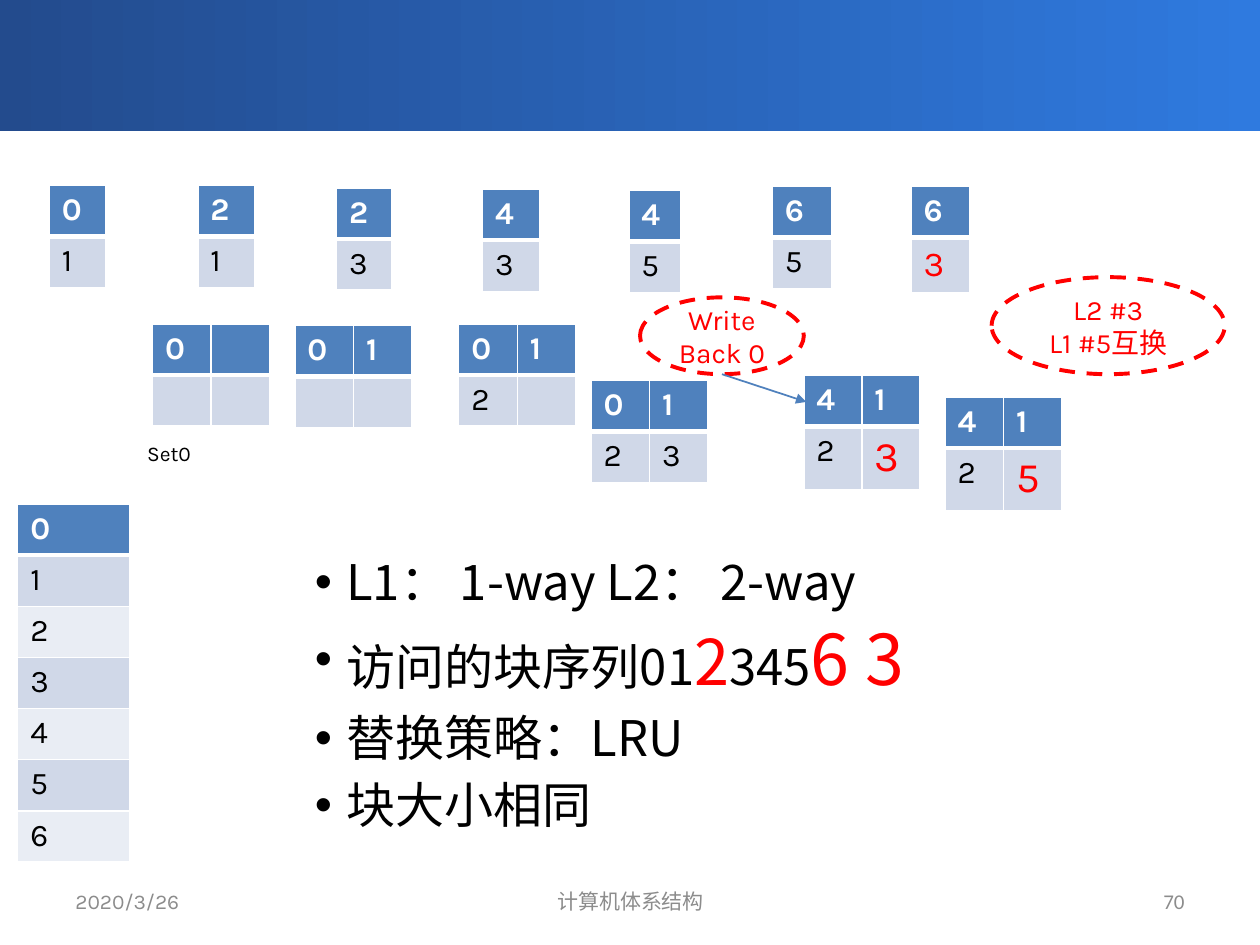
from lxml import etree
from pptx import Presentation
from pptx.dml.color import RGBColor
from pptx.enum.dml import MSO_LINE
from pptx.enum.shapes import MSO_CONNECTOR, MSO_SHAPE
from pptx.enum.text import MSO_ANCHOR, MSO_AUTO_SIZE, PP_ALIGN
from pptx.oxml.ns import qn
from pptx.util import Inches, Pt

LEFT, CENTER, RIGHT = PP_ALIGN.LEFT, PP_ALIGN.CENTER, PP_ALIGN.RIGHT
TOP, MIDDLE = MSO_ANCHOR.TOP, MSO_ANCHOR.MIDDLE
RECTANGLE, OVAL = MSO_SHAPE.RECTANGLE, MSO_SHAPE.OVAL
STRAIGHT, DASH = MSO_CONNECTOR.STRAIGHT, MSO_LINE.DASH
FIT_SHAPE = MSO_AUTO_SIZE.SHAPE_TO_FIT_TEXT

WHITE = RGBColor(0xFF, 0xFF, 0xFF)
BLACK = RGBColor(0x00, 0x00, 0x00)
RED = RGBColor(0xFF, 0x00, 0x00)
BLUE = RGBColor(0x4F, 0x81, 0xBD)
BAND_DARK = RGBColor(0xD0, 0xD8, 0xE8)
BAND_LIGHT = RGBColor(0xE9, 0xED, 0xF4)
BANNER_START = RGBColor(0x23, 0x4B, 0x8D)
BANNER_END = RGBColor(0x2F, 0x7A, 0xDF)
FOOTER_GREY = RGBColor(0x8C, 0x8C, 0x8C)

COLUMNS, ROWS = 100, 75
LATIN, BODY, NUMBER = "Karla", "Noto Sans CJK SC", "Calibri"


class CacheSlide:
    """Draws cache tables, callouts and text on a grid of 100 columns by 75 rows."""

    def __init__(self, presentation):
        self.slide = presentation.slides.add_slide(presentation.slide_layouts[6])
        self.column = presentation.slide_width / COLUMNS
        self.row = presentation.slide_height / ROWS

    def place(self, left, top, width, height):
        return (int(left * self.column), int(top * self.row),
                int(width * self.column), int(height * self.row))

    def style(self, font, size, color, name=LATIN, bold=False):
        font.size, font.name, font.bold = Pt(size), name, bold
        font.color.rgb = color

    def banner(self, height):
        shape = self.slide.shapes.add_shape(RECTANGLE, *self.place(0, 0, COLUMNS, height))
        shape.shadow.inherit = False
        shape.line.fill.background()
        shape.fill.gradient()
        shape.fill.gradient_angle = 0
        for stop, color in zip(shape.fill.gradient_stops, (BANNER_START, BANNER_END)):
            stop.color.rgb = color

    def label(self, box, text, align=LEFT, anchor=MIDDLE, color=FOOTER_GREY, name=LATIN):
        frame = self.slide.shapes.add_textbox(*self.place(*box)).text_frame
        frame.word_wrap = True
        frame.vertical_anchor = anchor
        paragraph = frame.paragraphs[0]
        paragraph.text, paragraph.alignment = text, align
        self.style(paragraph.font, 12, color, name)
        return frame

    def bullets(self, box, items):
        frame = self.slide.shapes.add_textbox(*self.place(*box)).text_frame
        frame.word_wrap = True
        for index, runs in enumerate(items):
            paragraph = frame.add_paragraph() if index else frame.paragraphs[0]
            paragraph.line_spacing = 0.9
            if index:
                paragraph.space_before = Pt(8)
            properties = paragraph._p.get_or_add_pPr()
            properties.set("marL", str(Inches(0.25)))
            properties.set("indent", str(-Inches(0.25)))
            etree.SubElement(properties, qn("a:buFont"), typeface="Arial")
            etree.SubElement(properties, qn("a:buChar"), char="•")
            self.style(paragraph.font, 28, BLACK, BODY)
            for text, red_size in runs:
                run = paragraph.add_run()
                run.text = text
                if red_size:
                    self.style(run.font, red_size, RED, BODY)

    def cell(self, cell, text, fill, header, size, color):
        properties = cell._tc.get_or_add_tcPr()
        for side in ("L", "R", "T", "B"):
            width = Pt(3 if header and side == "B" else 1)
            line = etree.SubElement(properties, qn(f"a:ln{side}"), w=str(width))
            solid = etree.SubElement(line, qn("a:solidFill"))
            etree.SubElement(solid, qn("a:srgbClr"), val=str(WHITE))
        cell.fill.solid()
        cell.fill.fore_color.rgb = fill
        paragraph = cell.text_frame.paragraphs[0]
        paragraph.text = text
        self.style(paragraph.font, size, color, bold=header)

    def cache(self, left, top, width, lines, row_height=4.06, last_height=None, red_size=None):
        heights = [row_height] * (len(lines) - 1) + [last_height or row_height]
        box = self.place(left, top, width, sum(heights))
        ways = len(lines[0])
        table = self.slide.shapes.add_table(len(lines), ways, *box).table
        for column in table.columns:
            column.width = int(width * self.column / ways)
        for index, (values, height) in enumerate(zip(lines, heights)):
            table.rows[index].height = int(height * self.row)
            header = index == 0
            fill = BLUE if header else BAND_DARK if index % 2 else BAND_LIGHT
            for way, text in enumerate(values):
                changed = red_size and index == len(lines) - 1 and way == ways - 1
                color = RED if changed else WHITE if header else BLACK
                self.cell(table.cell(index, way), text, fill, header,
                          red_size if changed else 18, color)

    def callout(self, box, lines):
        shape = self.slide.shapes.add_shape(OVAL, *self.place(*box))
        shape.shadow.inherit = False
        shape.fill.background()
        shape.line.color.rgb = RED
        shape.line.width = Pt(2.25)
        shape.line.dash_style = DASH
        frame = shape.text_frame
        frame.vertical_anchor = MIDDLE
        frame.text = "\n".join(lines)
        for paragraph in frame.paragraphs:
            paragraph.alignment = CENTER
            self.style(paragraph.font, 16, RED)

    def arrow(self, start, end):
        connector = self.slide.shapes.add_connector(STRAIGHT, *self.place(*start, *end))
        connector.line.color.rgb = BLUE
        connector.line.width = Pt(1)
        etree.SubElement(connector.line._get_or_add_ln(), qn("a:tailEnd"), type="triangle")
        etree.SubElement(connector._element.spPr, qn("a:effectLst"))


def main():
    presentation = Presentation()
    presentation.slide_width, presentation.slide_height = Inches(10), Inches(7.5)
    page = CacheSlide(presentation)

    page.banner(10.4)
    page.label((5, 69.5, 23.3, 4), "2020/3/26")
    page.label((34.2, 69.5, 31.7, 4), "计算机体系结构", CENTER)
    page.label((71.7, 69.5, 23.3, 4), "70", RIGHT, name=NUMBER)

    level_one = [
        (3.9, 14.7, 4.5, "01"), (15.7, 14.7, 4.5, "21"), (26.7, 14.9, 4.4, "23"),
        (38.3, 15, 4.5, "43"), (49.9, 15.1, 4.1, "45"), (61.3, 14.8, 4.7, "65"),
    ]
    for left, top, width, blocks in level_one:
        page.cache(left, top, width, list(blocks))
    page.cache(72.3, 14.8, 4.7, ["6", "3"], red_size=20)

    level_two = [
        (12.1, 25.7, ["0", ""], ["", ""]), (23.4, 25.8, ["0", "1"], ["", ""]),
        (36.4, 25.7, ["0", "1"], ["2", ""]), (46.9, 30.2, ["0", "1"], ["2", "3"]),
    ]
    for left, top, *lines in level_two:
        page.cache(left, top, 9.3, lines)
    for left, top, width, last in ((63.8, 29.8, 9.2, "3"), (75, 31.5, 9.3, "5")):
        page.cache(left, top, width, ["41", "2" + last], last_height=5, red_size=24)

    page.cache(1.4, 40, 8.9, list("0123456"))
    page.label((10.7, 34.5, 6, 3), "Set0", LEFT, TOP, BLACK).auto_size = FIT_SHAPE

    page.callout((50.8, 23.6, 13, 6.1), ["Write", "Back 0"])
    page.callout((78.7, 22, 18.5, 7.7), ["L2 #3", "L1 #5互换"])
    page.arrow((57.3, 29.7), (64, 31.9))

    page.bullets((24, 43.8, 69.1, 25.7), [
        [("L1： 1-way L2： 2-way", None)],
        [("访问的块序列01", None), ("2", 36), ("345", None), ("6 3", 40)],
        [("替换策略：LRU", None)],
        [("块大小相同", None)],
    ])
    presentation.save("out.pptx")


if __name__ == "__main__":
    main()
